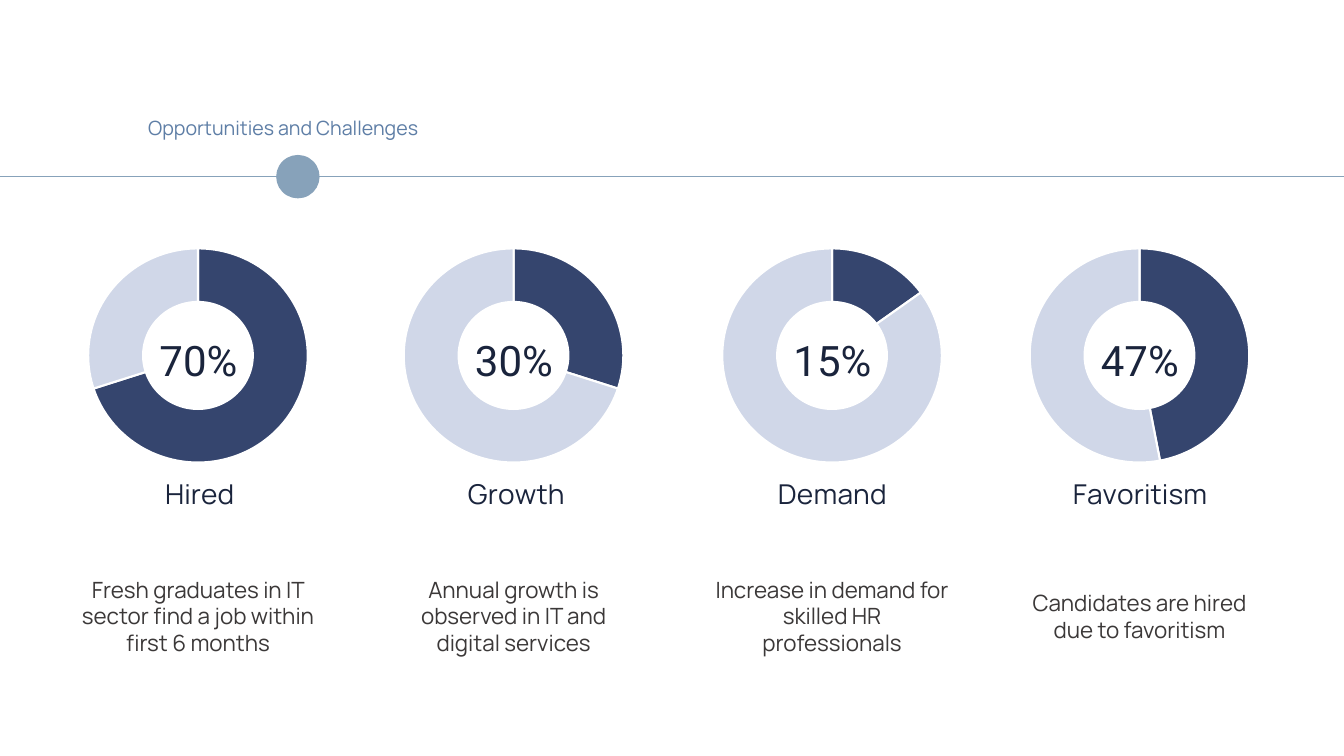
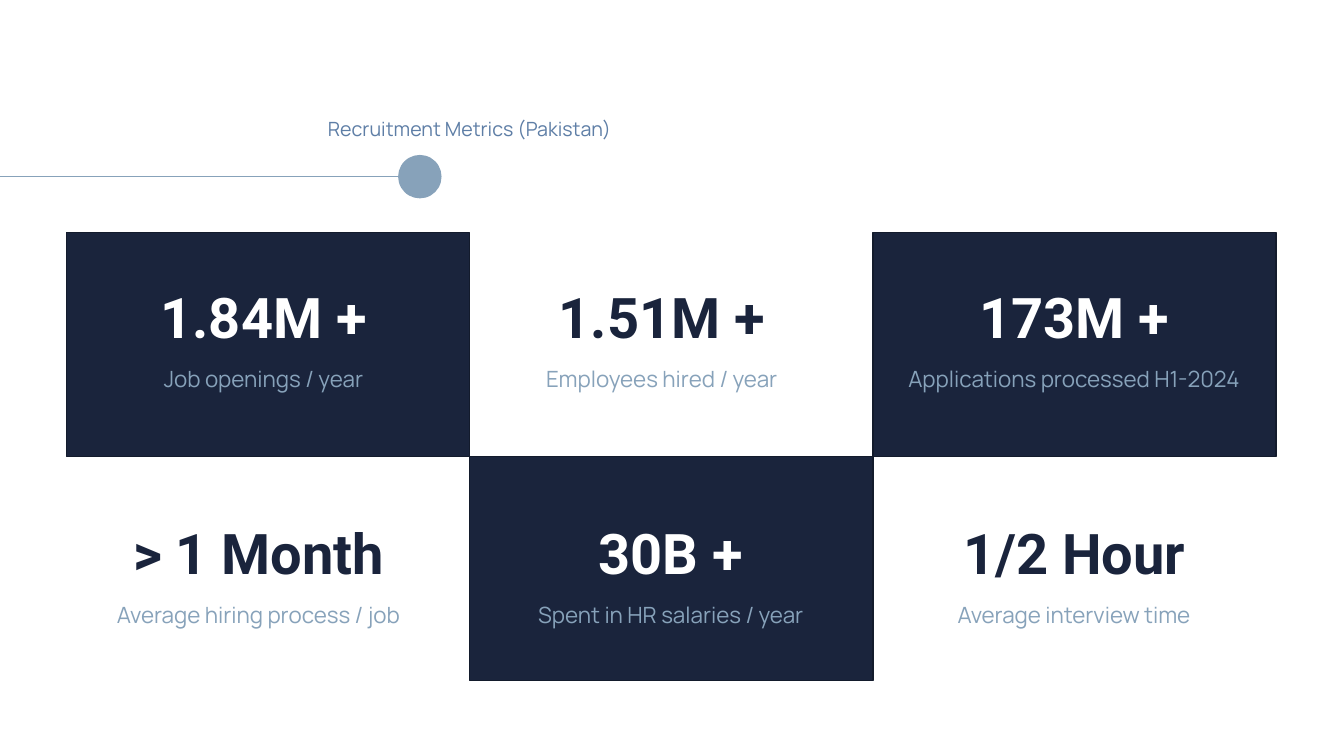
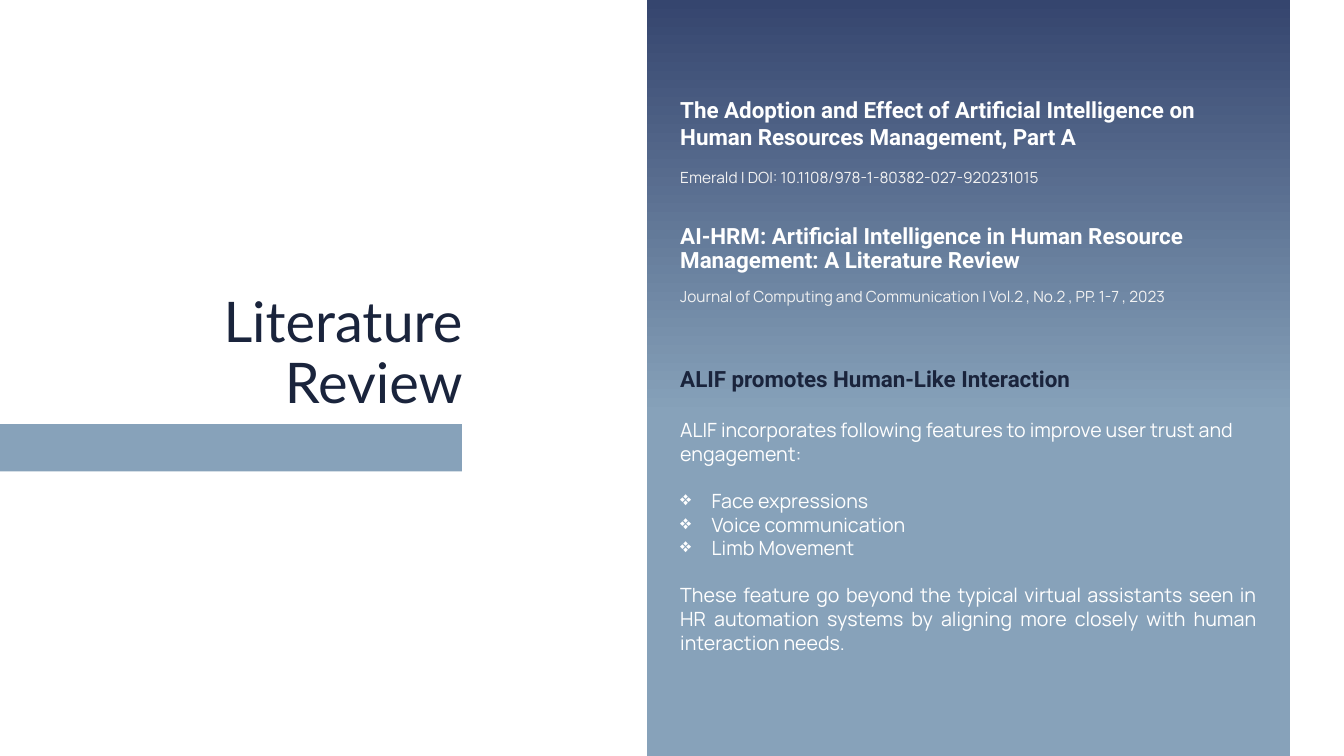
"""Build three recruitment slides: opportunities, metrics and literature review."""
from dataclasses import dataclass

from pptx import Presentation
from pptx.chart.data import CategoryChartData
from pptx.dml.color import RGBColor as RGB
from pptx.enum.chart import XL_CHART_TYPE as ChartType
from pptx.enum.shapes import MSO_CONNECTOR as Connector, MSO_SHAPE as Shape
from pptx.enum.text import MSO_ANCHOR as Anchor, MSO_AUTO_SIZE as AutoSize, PP_ALIGN as Align
from pptx.oxml import parse_xml
from pptx.oxml.ns import nsdecls, qn
from pptx.util import Pt


@dataclass(frozen=True)
class Style:
    font: str
    size: int
    color: str
    bold: bool = False


@dataclass(frozen=True)
class Theme:
    navy: str = "1A243C"
    navy_edge: str = "131B2C"
    indigo: str = "35456E"
    pale: str = "D0D7E8"
    steel: str = "87A2BA"
    white: str = "FFFFFF"
    section: Style = Style("Manrope", 14, "5E7EA6")
    chart_name: Style = Style("Manrope", 20, "1A243C")
    percent: Style = Style("Roboto", 30, "1A243C")
    finding: Style = Style("Manrope", 16, "3B3838")
    metric: Style = Style("Roboto", 40, "1A243C", True)
    metric_light: Style = Style("Roboto", 40, "FFFFFF", True)
    caption: Style = Style("Manrope", 16, "87A2BA")
    headline: Style = Style("Lato", 40, "1A243C")
    paper: Style = Style("Roboto", 16, "FFFFFF", True)
    source: Style = Style("Manrope", 11, "F2F2F2")
    topic: Style = Style("Roboto", 16, "1A243C", True)
    body: Style = Style("Manrope", 14, "FFFFFF")


def set_text(shape, box, paragraphs, align=Align.LEFT, line_spacing=None):
    """Place a shape and write (text, style, space before) paragraphs into it."""
    shape.left, shape.top, shape.width, shape.height = map(Pt, box)
    frame = shape.text_frame
    frame.text = "\n".join(text for text, _, _ in paragraphs)
    frame.word_wrap = True
    frame.auto_size = AutoSize.NONE
    frame.vertical_anchor = Anchor.MIDDLE
    for paragraph, (_, style, space_before) in zip(frame.paragraphs, paragraphs):
        paragraph.alignment = align
        paragraph.space_before = Pt(space_before)
        if line_spacing:
            paragraph.line_spacing = line_spacing
        for run in paragraph.runs:
            run.font.name = style.font
            run.font.size = Pt(style.size)
            run.font.bold = style.bold
            run.font.color.rgb = RGB.from_string(style.color)
    return frame


def add_block(slide, kind, box, color):
    """Add a plain filled shape without outline or shadow."""
    shape = slide.shapes.add_shape(kind, *map(Pt, box))
    shape.shadow.inherit = False
    shape.fill.solid()
    shape.fill.fore_color.rgb = RGB.from_string(color)
    shape.line.fill.background()
    return shape


theme = Theme()
presentation = Presentation()
presentation.slide_width, presentation.slide_height = Pt(960), Pt(540)
title_only = presentation.slide_layouts[5]
charts_slide, metrics_slide, review_slide = [
    presentation.slides.add_slide(title_only) for _ in range(3)
]

timelines = [
    (charts_slide, "Opportunities and Challenges", (98.6, 77.8, 226.8, 27.4), Align.LEFT, 960, 197.3),
    (metrics_slide, "Recruitment Metrics (Pakistan)", (219.6, 78.5, 231.8, 27.4), Align.CENTER, 299.5, 284.4),
]
for slide, title, title_box, align, line_end, dot_left in timelines:
    set_text(slide.shapes.title, title_box, [(title, theme.section, 0)], align)
    line = slide.shapes.add_connector(Connector.STRAIGHT, Pt(0), Pt(126), Pt(line_end), Pt(126))
    line.line.color.rgb = RGB.from_string(theme.steel)
    line.line.width = Pt(1)
    line._element.spPr.append(parse_xml(f"<a:effectLst {nsdecls('a')}/>"))
    add_block(slide, Shape.OVAL, (dot_left, 110.7, 31, 31), theme.steel)

chart_top, chart_width, chart_height = 157.7, 301.7, 214.6
findings = [
    ("Hired", 70, -9.4, 0.41, "Fresh graduates in IT sector find a job within first 6 months"),
    ("Growth", 30, 216, 0.38, "Annual growth is observed in IT and digital services"),
    ("Demand", 15, 443.5, 0.36, "Increase in demand for skilled HR professionals"),
    ("Favoritism", 47, 663.1, 0.33, "Candidates are hired due to favoritism"),
]
for name, percent, left, name_left, finding in findings:
    data = CategoryChartData()
    data.categories = ["1", "2"]
    data.add_series("Series 1", (percent, 100 - percent))
    chart = charts_slide.shapes.add_chart(
        ChartType.DOUGHNUT, Pt(left), Pt(chart_top), Pt(chart_width), Pt(chart_height), data
    ).chart
    chart.has_legend = False
    chart.font.name, chart.font.size = "Calibri", Pt(10)
    chart.font.color.rgb = RGB.from_string("000000")
    chart.has_title = True
    chart.chart_title.text_frame.text = name
    name_font = chart.chart_title.text_frame.paragraphs[0].runs[0].font
    name_font.name, name_font.size = theme.chart_name.font, Pt(theme.chart_name.size)
    name_font.bold = theme.chart_name.bold
    name_font.color.rgb = RGB.from_string(theme.chart_name.color)
    plot = chart.plots[0]
    plot.vary_by_categories = True
    for index, color in enumerate((theme.indigo, theme.pale)):
        point_format = plot.series[0].points[index].format
        point_format.fill.solid()
        point_format.fill.fore_color.rgb = RGB.from_string(color)
        point_format.line.color.rgb = RGB.from_string(theme.white)
        point_format.line.width = Pt(1.5)

    chart_space = chart._chartSpace
    chart_space.find(".//" + qn("c:holeSize")).set("val", "75")
    layouts = [
        ("c:title", 1, "", {"x": name_left, "y": 0.84}),
        ("c:plotArea", 0, '<c:layoutTarget val="inner"/>', {"x": 0.24, "y": 0.07, "w": 0.52, "h": 0.78}),
    ]
    for tag, position, target, sizes in layouts:
        element = chart_space.find(".//" + qn(tag))
        for layout in element.findall(qn("c:layout")):
            element.remove(layout)
        modes = "".join(f'<c:{key}Mode val="edge"/>' for key in "xy")
        values = "".join(f'<c:{key} val="{value}"/>' for key, value in sizes.items())
        element.insert(position, parse_xml(
            f"<c:layout {nsdecls('c')}><c:manualLayout>{target}{modes}{values}</c:manualLayout></c:layout>"
        ))

    labels = [
        (f"{percent}%", theme.percent, (left + 105.8, 242.3, 90.7, 29.5)),
        (finding, theme.finding, (left + 59.8, 404, 182.2, 72)),
    ]
    for text, style, box in labels:
        set_text(charts_slide.shapes.add_textbox(0, 0, 0, 0), box, [(text, style, 0)], Align.CENTER)

card_left, card_top, card_width, card_height = 47.5, 166.2, 288, 160
metrics = [
    ("1.84M +", "Job openings / year", 281.5),
    ("1.51M +", "Employees hired / year", 274.3),
    ("173M +", "Applications processed H1-2024", 287.3),
    ("> 1 Month", "Average hiring process / job", 274.3),
    ("30B +", "Spent in HR salaries / year", 287.3),
    ("1/2 Hour", "Average interview time", 287.3),
]
for index, (value, caption, text_width) in enumerate(metrics):
    row, column = divmod(index, 3)
    left = card_left + column * card_width
    dark = index % 2 == 0
    if dark:
        card = add_block(
            metrics_slide, Shape.RECTANGLE,
            (left, card_top + row * card_height, card_width, card_height), theme.navy,
        )
        card.line.color.rgb = RGB.from_string(theme.navy_edge)
        card.line.width = Pt(1)
    value_top = (202.3, 370.8)[row]
    value_style = theme.metric_light if dark else theme.metric
    for text, style, top in ((value, value_style, value_top), (caption, theme.caption, value_top + 43.2)):
        set_text(
            metrics_slide.shapes.add_textbox(0, 0, 0, 0), (left, top, text_width, 52.6),
            [(text, style, 0)], Align.CENTER, 0.9,
        )

set_text(
    review_slide.shapes.title, (48.2, 203.8, 289.4, 99.4),
    [("Literature\vReview", theme.headline, 0)], Align.RIGHT, 0.9,
)
add_block(review_slide, Shape.RECTANGLE, (0, 303, 330, 33.8), theme.steel)
panel = add_block(review_slide, Shape.RECTANGLE, (462.2, 0, 459.4, 540), theme.steel)
panel.fill.gradient()
panel.fill.gradient_angle = 90
for stop, (position, color) in zip(panel.fill.gradient_stops, ((0.45, theme.steel), (1, theme.indigo))):
    stop.position = position
    stop.color.rgb = RGB.from_string(color)

text_left, text_width = 478.8, 426.2
papers = [
    (56.9, None, 13.2,
     "The Adoption and Effect of Artificial Intelligence on Human Resources Management, Part A",
     "Emerald | DOI: 10.1108/978-1-80382-027-920231015"),
    (145.4, 0.9, 11.7,
     "AI-HRM: Artificial Intelligence in Human Resource Management: A Literature Review",
     "Journal of Computing and Communication | Vol.2 , No.2 , PP. 1-7 , 2023"),
]
for top, line_spacing, gap, paper, source in papers:
    set_text(
        review_slide.shapes.add_textbox(0, 0, 0, 0), (text_left, top, text_width, 88.6),
        [(paper, theme.paper, 0), (source, theme.source, gap)], line_spacing=line_spacing,
    )

features = set_text(
    review_slide.shapes.add_textbox(0, 0, 0, 0), (text_left, 257, text_width, 213.8),
    [
        ("ALIF promotes Human-Like Interaction", theme.topic, 0),
        ("ALIF incorporates following features to improve user trust and engagement:", theme.body, 19),
        ("Face expressions", theme.body, 16.9),
        ("Voice communication", theme.body, 0),
        ("Limb Movement", theme.body, 0),
        ("These feature go beyond the typical virtual assistants seen in HR automation systems "
         "by aligning more closely with human interaction needs.", theme.body, 16.9),
    ],
)
features.paragraphs[-1].alignment = Align.JUSTIFY
for paragraph in features.paragraphs[2:5]:
    properties = paragraph._p.get_or_add_pPr()
    properties.set("marL", str(Pt(22.5)))
    properties.set("indent", str(Pt(-22.5)))
    properties.append(parse_xml(f'<a:buChar {nsdecls("a")} char="❖"/>'))

presentation.save("out.pptx")
